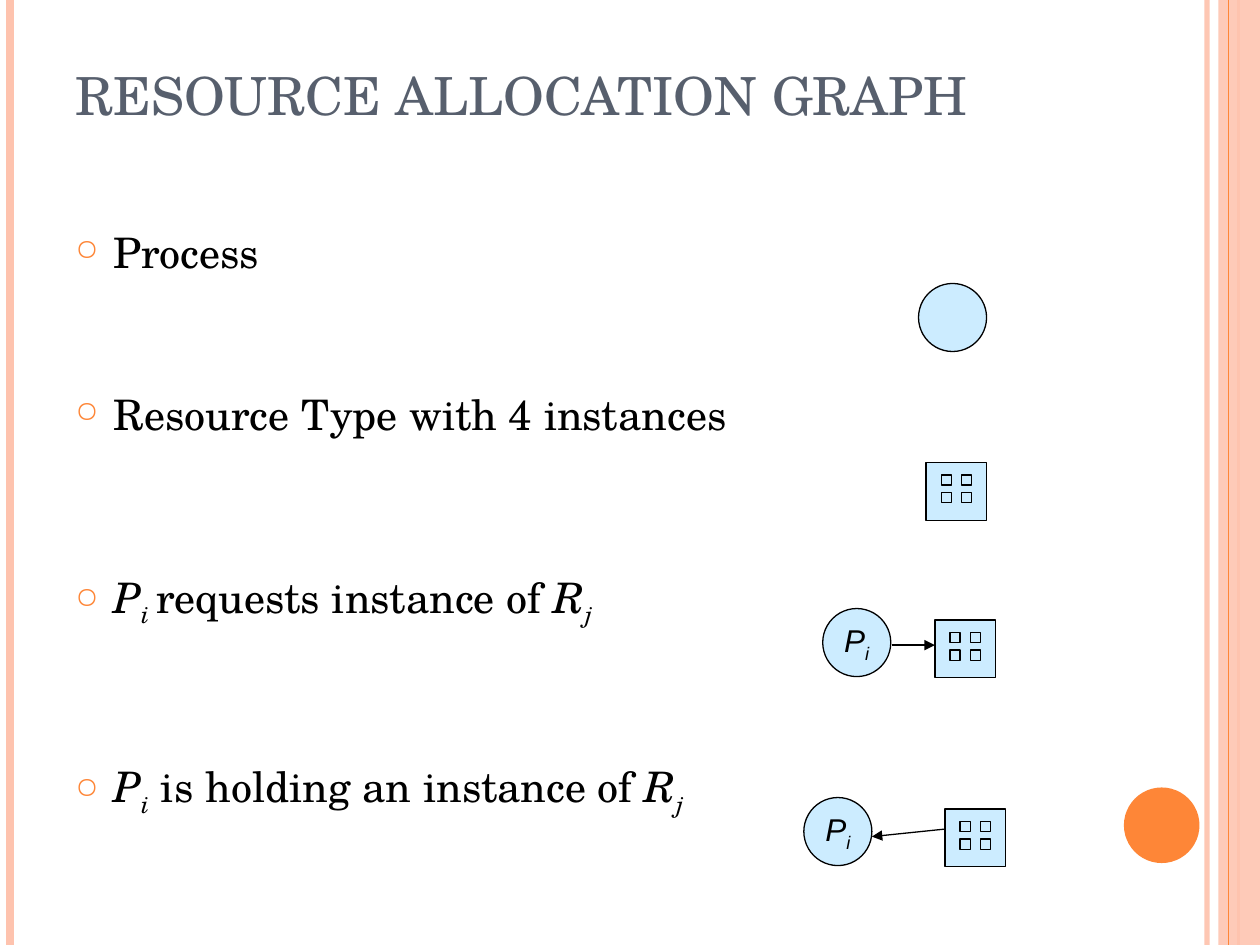
"""Builds the slide that explains the symbols of a resource allocation graph."""
from dataclasses import dataclass

from lxml.etree import SubElement
from pptx import Presentation
from pptx.dml.color import RGBColor
from pptx.enum.shapes import MSO_CONNECTOR as Connector, MSO_SHAPE as Shape
from pptx.enum.text import MSO_ANCHOR as Anchor, PP_ALIGN as Align
from pptx.oxml.ns import qn
from pptx.util import Inches, Pt


@dataclass(frozen=True)
class Theme:
    serif: str = "TeX Gyre Schola"
    sans: str = "Arial"
    ink: str = "000000"
    heading: str = "575F6D"
    accent: str = "FE8637"
    pale: str = "FEC3AE"
    node: str = "CCECFF"
    title_size: float = 30
    body_size: float = 24
    label_size: float = 18
    outline: float = 0.75


class GraphSlide:
    def __init__(self, slide, theme):
        self.slide, self.theme = slide, theme

    def set_alpha(self, fill_parent, percent):
        color = fill_parent.find(".//" + qn("a:srgbClr"))
        SubElement(color, qn("a:alpha")).set("val", str(percent * 1000))

    def line(self, start, end, color, width, alpha=None, arrow=False):
        link = self.slide.shapes.add_connector(
            Connector.STRAIGHT, *map(Inches, (*start, *end)))
        link.line.color.rgb = RGBColor.from_string(color)
        link.line.width = Pt(width)
        properties = link.line._get_or_add_ln()
        if alpha:
            self.set_alpha(properties, alpha)
        if arrow:
            SubElement(properties, qn("a:tailEnd")).set("type", "triangle")
        SubElement(link._element.spPr, qn("a:effectLst"))

    def shape(self, kind, box, fill, outlined=True, alpha=None, parent=None):
        item = (parent or self.slide).shapes.add_shape(kind, *map(Inches, box))
        item.shadow.inherit = False
        item.fill.solid()
        item.fill.fore_color.rgb = RGBColor.from_string(fill)
        if alpha:
            self.set_alpha(item._element.spPr, alpha)
        if outlined:
            item.line.color.rgb = RGBColor.from_string(self.theme.ink)
            item.line.width = Pt(self.theme.outline)
        else:
            item.line.fill.background()
        return item

    def runs(self, paragraph, pieces, font, size, color):
        for text, style in pieces:
            run = paragraph.add_run()
            run.text = text
            run.font.name, run.font.size = font, Pt(size)
            run.font.color.rgb = RGBColor.from_string(color)
            run.font.italic = style in ("italic", "sub")
            if style == "sub":
                run._r.get_or_add_rPr().set("baseline", "-25000")

    def process(self, left, top, label=None):
        circle = self.shape(Shape.OVAL, (left, top, 0.54, 0.54), self.theme.node)
        if label:
            frame = circle.text_frame
            frame.word_wrap = False
            frame.vertical_anchor = Anchor.MIDDLE
            frame.paragraphs[0].alignment = Align.CENTER
            self.runs(frame.paragraphs[0], label, self.theme.sans,
                      self.theme.label_size, self.theme.ink)

    def resource(self, left, top):
        group = self.slide.shapes.add_group_shape()
        boxes = [(left, top, 0.48, 0.46)]
        boxes += [(left + 0.12 + column * 0.16, top + 0.1 + row * 0.14, 0.08, 0.08)
                  for row in range(2) for column in range(2)]
        for box in boxes:
            self.shape(Shape.RECTANGLE, box, self.theme.node, parent=group)

    def text_frame(self, box):
        frame = self.slide.shapes.add_textbox(*map(Inches, box)).text_frame
        frame.word_wrap = True
        return frame

    def title(self, text):
        frame = self.text_frame((0.5, 0.3, 8.17, 1.25))
        frame.vertical_anchor = Anchor.BOTTOM
        frame.margin_bottom = Inches(0.55)
        self.runs(frame.paragraphs[0], [(text, "plain")], self.theme.serif,
                  self.theme.title_size, self.theme.heading)

    def bullets(self, items):
        frame = self.text_frame((0.5, 1.75, 8.17, 5.33))
        for index, (gap, pieces) in enumerate(items):
            paragraph = frame.add_paragraph() if index else frame.paragraphs[0]
            properties = paragraph._p.get_or_add_pPr()
            properties.set("marL", str(Inches(0.3)))
            properties.set("indent", str(-Inches(0.3)))
            color = SubElement(properties, qn("a:buClr"))
            SubElement(color, qn("a:srgbClr")).set("val", self.theme.accent)
            SubElement(properties, qn("a:buSzPct")).set("val", "70000")
            SubElement(properties, qn("a:buChar")).set("char", "○")
            if gap:
                paragraph.space_before = Pt(gap)
            self.runs(paragraph, pieces, self.theme.serif,
                      self.theme.body_size, self.theme.ink)

    def frame_decoration(self):
        theme = self.theme

        def rule(x, color, width, alpha=None):
            self.line((x, 0), (x, 7.5), color, width, alpha)

        rule(9.58, theme.pale, 3, 93)
        rule(0.08, theme.pale, 4.5)
        rule(9.83, theme.pale, 1.5)
        self.shape(Shape.RECTANGLE, (9.67, 0, 0.33, 7.5), theme.pale, False, 87)
        rule(9.75, theme.accent, 0.75)
        self.shape(Shape.OVAL, (8.92, 6.25, 0.6, 0.6), theme.accent, False)


def main():
    deck = Presentation()
    deck.slide_width, deck.slide_height = Inches(10), Inches(7.5)
    theme = Theme()
    graph = GraphSlide(deck.slides.add_slide(deck.slide_layouts[6]), theme)

    graph.frame_decoration()
    graph.title("RESOURCE ALLOCATION GRAPH")
    resource_name = [("R", "italic"), ("j", "sub")]
    graph.bullets([
        (0, [("Process", "plain")]),
        (63.6, [("Resource Type with 4 instances", "plain")]),
        (75.6, [("P", "italic"), ("i ", "sub"),
                ("requests instance of ", "plain"), *resource_name]),
        (75.6, [("P", "italic"), ("i", "sub"),
                (" is holding an instance of ", "plain"), *resource_name]),
    ])

    process_name = [("P", "italic"), ("i", "sub")]
    graph.process(7.29, 2.25)
    graph.process(6.38, 6.33, process_name)
    graph.process(6.53, 4.83, process_name)
    for corner in ((7.35, 3.67), (7.42, 4.92), (7.5, 6.42)):
        graph.resource(*corner)
    request, holding = ((7.08, 5.12), (7.42, 5.12)), ((7.5, 6.58), (6.92, 6.64))
    for start, end in (request, holding):
        graph.line(start, end, theme.ink, theme.outline, arrow=True)

    deck.save("out.pptx")


if __name__ == "__main__":
    main()
